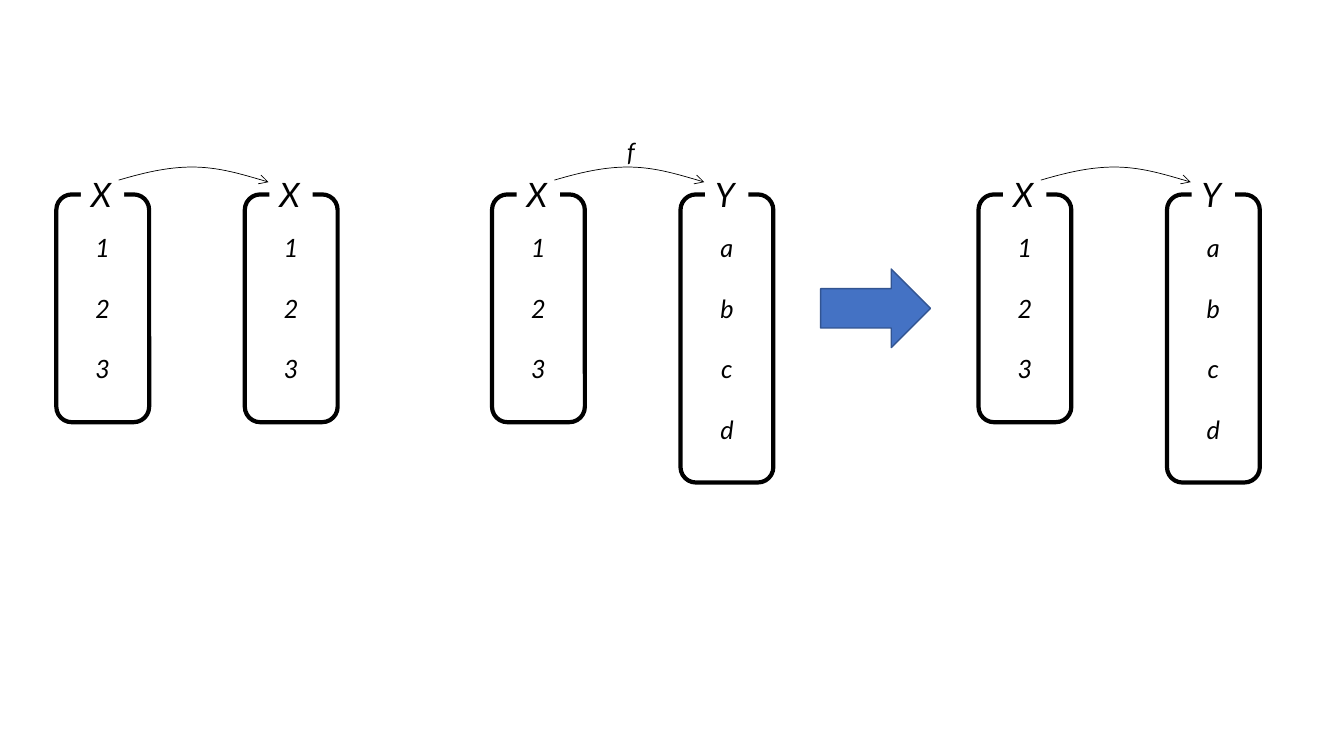
from dataclasses import dataclass

from pptx import Presentation
from pptx.dml.color import RGBColor
from pptx.enum.shapes import MSO_SHAPE as Shape
from pptx.enum.text import MSO_ANCHOR as Anchor, PP_ALIGN as Align
from pptx.oxml.ns import qn
from pptx.util import Cm, Pt


@dataclass(frozen=True)
class Theme:
    """Colours, type and line sizes of the slide."""
    ink: RGBColor = RGBColor(0, 0, 0)
    paper: RGBColor = RGBColor(255, 255, 255)
    accent: RGBColor = RGBColor(0x44, 0x72, 0xC4)
    accent_edge: RGBColor = RGBColor(0x32, 0x54, 0x91)
    font: str = "Lato"
    element_size: int = 18
    label_size: int = 24
    element_gap: float = 21.6
    set_line: float = 3
    map_line: float = 0.5


THEME = Theme()
SET_TOP = 4.9
SET_WIDTH = 2.34
SET_STEP = 4.75
ROW_HEIGHT = 1.52
SET_MARGIN = 1.18
CURVE = [(0, 0.33), (0.61, 0.15), (1.22, 0), (1.85, 0),
         (2.46, 0), (3.12, 0.18), (3.78, 0.38)]


def write(shape, text, size=THEME.element_size, align=Align.LEFT,
          anchor=Anchor.TOP, gap=0):
    """Fill a shape with one italic paragraph per line of text."""
    frame = shape.text_frame
    frame.word_wrap = True
    frame.vertical_anchor = anchor
    frame.text = text
    for index, para in enumerate(frame.paragraphs):
        para.alignment = align
        para.space_before = Pt(gap if index else 0)
        para.font.name = THEME.font
        para.font.size = Pt(size)
        para.font.italic = True
        para.font.color.rgb = THEME.ink


def add_block(page, kind, left, top, width, height,
              fill=None, line=None, weight=1):
    """Add a flat preset shape, with a fill and an outline if given."""
    block = page.shapes.add_shape(kind, Cm(left), Cm(top), Cm(width), Cm(height))
    paint(block, fill, line, weight)
    return block


def paint(shape, fill, line, weight):
    """Set the fill and outline of a shape and remove its shadow."""
    shape.shadow.inherit = False
    for part, colour in ((shape.fill, fill), (shape.line.fill, line)):
        if colour is None:
            part.background()
        else:
            part.solid()
            part.fore_color.rgb = colour
    if line is not None:
        shape.line.width = Pt(weight)


def add_set(page, left, top, name, elements):
    """Draw a rounded set with its elements and its name on the top edge."""
    height = len(elements) * ROW_HEIGHT + SET_MARGIN
    outline = add_block(page, Shape.ROUNDED_RECTANGLE, left, top, SET_WIDTH, height,
                        line=THEME.ink, weight=THEME.set_line)
    write(outline, "\n".join(elements), align=Align.CENTER,
          anchor=Anchor.MIDDLE, gap=THEME.element_gap)
    label = add_block(page, Shape.RECTANGLE, left + 0.62, top - 0.64, 1.09, 1.27,
                      fill=THEME.paper)
    write(label, name, size=THEME.label_size)


def add_map_arrow(page, left, top):
    """Draw a thin curved arrow from one set name to the next."""
    points = [(Cm(left + x), Cm(top + y)) for x, y in CURVE]
    builder = page.shapes.build_freeform(*points[0])
    builder.add_line_segments(points[1:], close=False)
    arrow = builder.convert_to_shape()
    paint(arrow, None, THEME.ink, THEME.map_line)
    segments = arrow.element.xpath(".//a:lnTo")
    for start in range(0, len(segments), 3):
        bend = segments[start].getparent().makeelement(qn("a:cubicBezTo"))
        segments[start].addprevious(bend)
        for segment in segments[start:start + 3]:
            bend.append(segment[0])
            segment.getparent().remove(segment)
    edge = arrow.line._get_or_add_ln()
    edge.append(edge.makeelement(qn("a:tailEnd"), {"type": "arrow"}))


def add_mapping(page, left, top, source, target, name=None):
    """Draw two sets joined by an arrow that may carry a name."""
    for column, (label, elements) in enumerate((source, target)):
        add_set(page, left + column * SET_STEP, top, label, elements)
    add_map_arrow(page, left + 1.57, top - 0.69)
    if name:
        box = page.shapes.add_textbox(Cm(left + 3.15), Cm(top - 1.6), Cm(0.94), Cm(1.02))
        write(box, name)


def main():
    """Build the slide and save it."""
    deck = Presentation()
    deck.slide_width, deck.slide_height = Cm(33.87), Cm(19.05)
    page = deck.slides.add_slide(deck.slide_layouts[6])
    domain, codomain = ("X", "123"), ("Y", "abcd")
    add_mapping(page, 1.42, SET_TOP, domain, domain)
    add_mapping(page, 12.4, SET_TOP, domain, codomain, name="f")
    add_mapping(page, 24.66, SET_TOP, domain, codomain)
    add_block(page, Shape.RIGHT_ARROW, 20.68, 6.78, 2.77, 1.98,
              fill=THEME.accent, line=THEME.accent_edge)
    deck.save("out.pptx")


if __name__ == "__main__":
    main()
